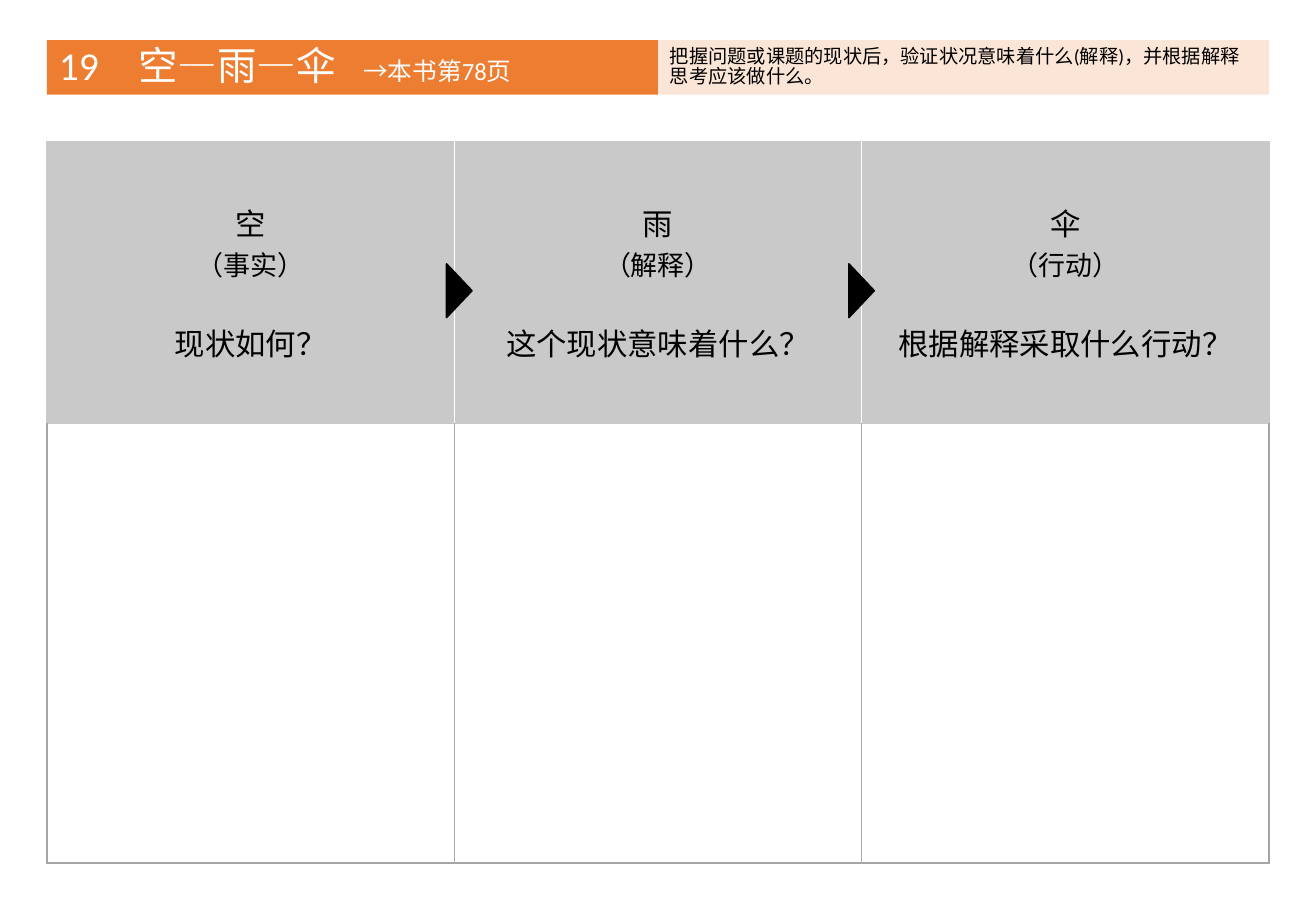
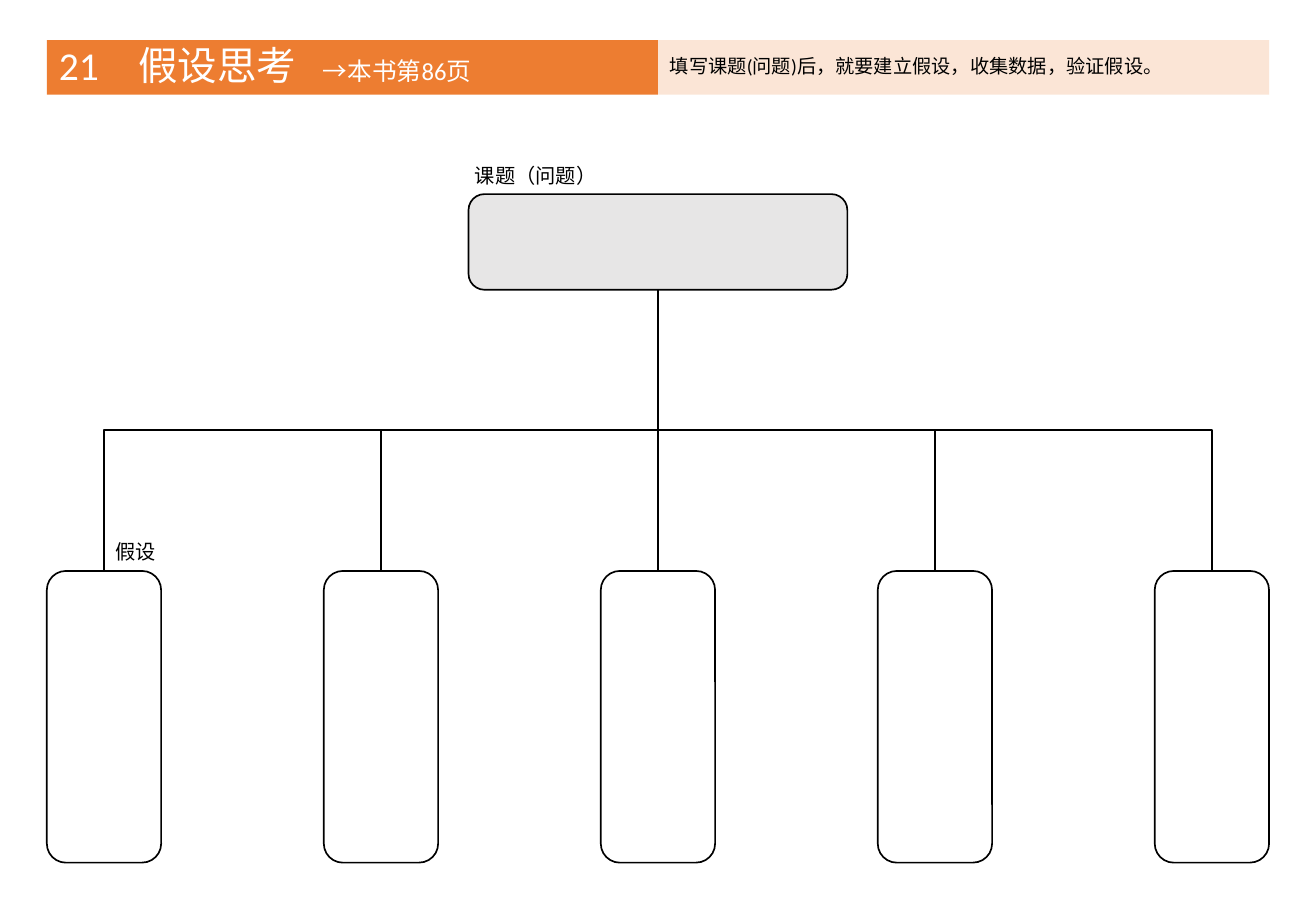
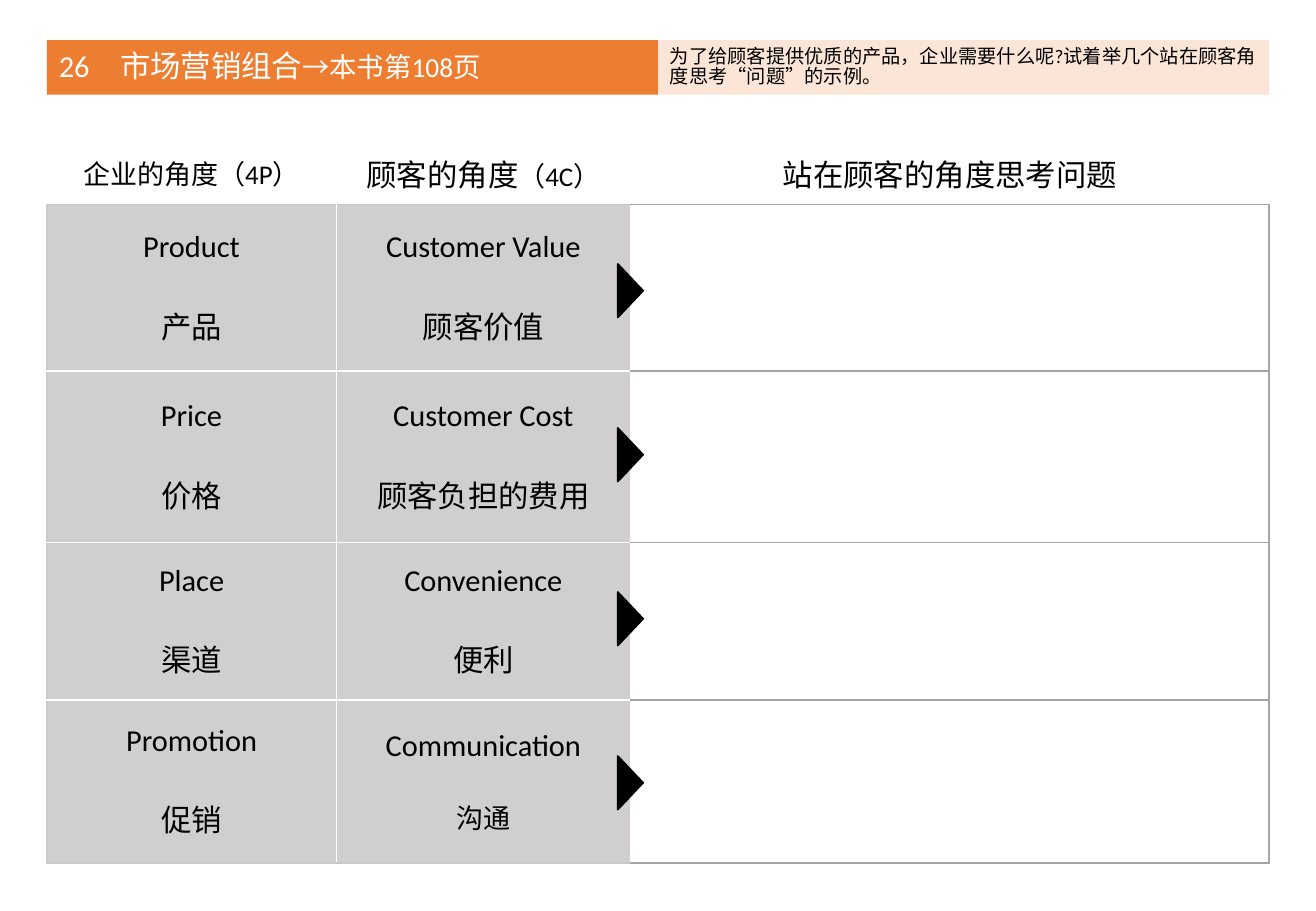
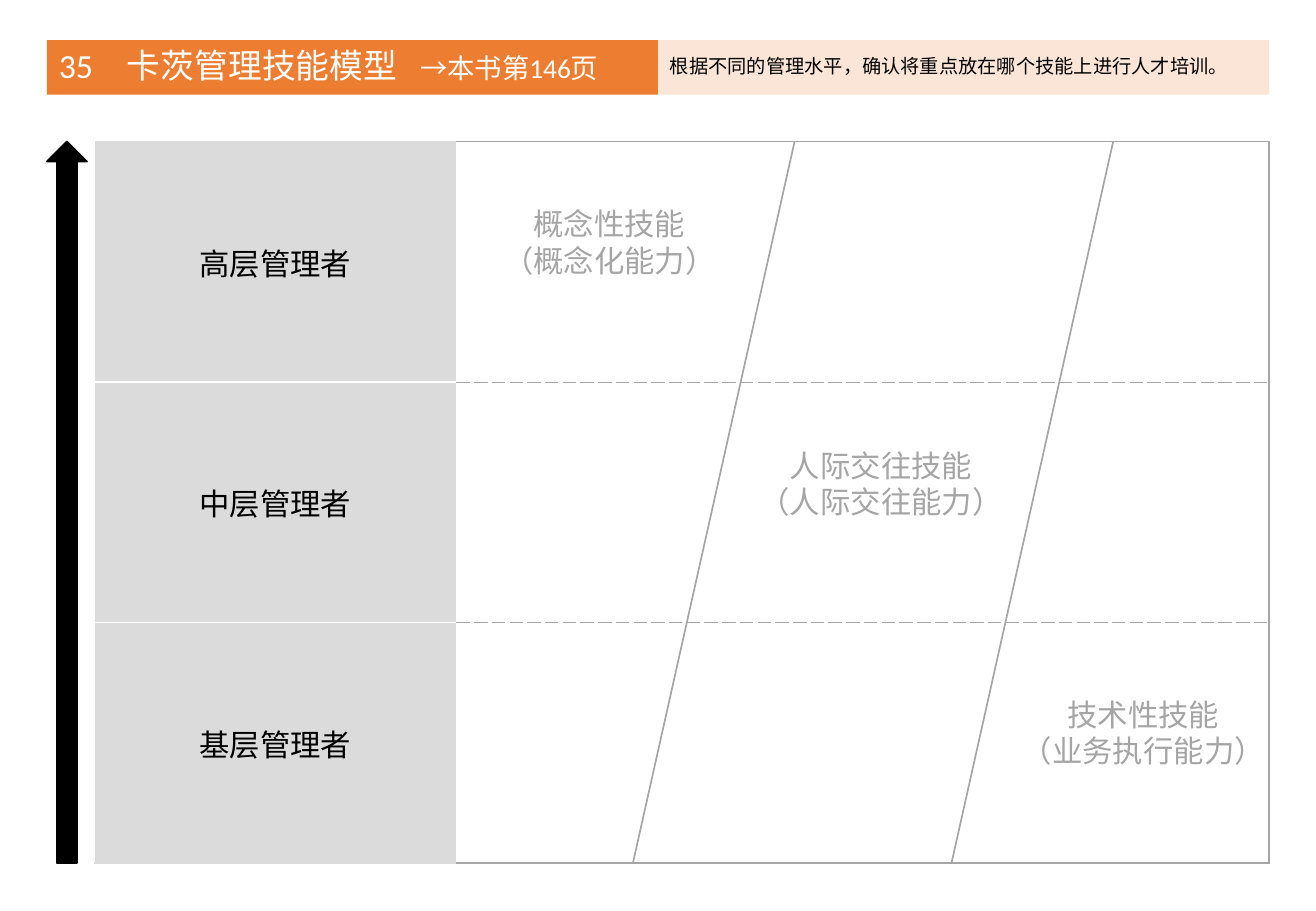
"""Build four business-framework worksheets that share one header band."""
import dataclasses
import typing

import lxml.etree
import pptx
import pptx.dml.color
import pptx.enum.lang
import pptx.enum.shapes
import pptx.enum.text
import pptx.oxml.ns
import pptx.util

Cm = pptx.util.Cm
Pt = pptx.util.Pt
PRESET = pptx.enum.shapes.MSO_SHAPE
LINK = pptx.enum.shapes.MSO_CONNECTOR
ALIGN = pptx.enum.text.PP_ALIGN
MIDDLE = pptx.enum.text.MSO_ANCHOR.MIDDLE
qn = pptx.oxml.ns.qn


@dataclasses.dataclass(frozen=True)
class Theme:
    font: str = "Calibri"
    orange: str = "ED7D31"
    peach: str = "FBE5D6"
    black: str = "000000"
    white: str = "FFFFFF"
    header_gray: str = "C9C9C9"
    label_gray: str = "D0CECE"
    level_gray: str = "DBDBDB"
    issue_gray: str = "E7E6E6"
    rule_gray: str = "A5A5A5"
    divider_gray: str = "AFABAB"
    body: float = 18
    small: float = 16
    caption: float = 12
    hint: float = 11.4
    gap: float = 22
    small_gap: float = 19.5
    line: float = 1
    hairline: float = 0.25


THEME = Theme()


class Box(typing.NamedTuple):
    left: float
    top: float
    width: float
    height: float


class Run(typing.NamedTuple):
    text: str
    size: float = THEME.body


class Line(typing.NamedTuple):
    runs: tuple[Run, ...]
    gap: float = 0


class Edge(typing.NamedTuple):
    color: str
    width: float = THEME.line
    dash: str = "solid"


class Edges(typing.NamedTuple):
    left: Edge | None = None
    right: Edge | None = None
    top: Edge | None = None
    bottom: Edge | None = None


class Cell(typing.NamedTuple):
    lines: tuple[Line, ...]
    fill: str
    edges: Edges


class Header(typing.NamedTuple):
    title: Run
    page: Run
    hint: str
    page_tab: float = 0


class Skill(typing.NamedTuple):
    name: str
    ability: str
    box: Box


SLIDE_W, SLIDE_H = 27.51, 19.05
MARGIN = 0.98
CONTENT_W = SLIDE_W - 2 * MARGIN
BODY = Box(MARGIN, 2.96, CONTENT_W, 15.09)
BODY_BOTTOM = BODY.top + BODY.height
MARKER_W, MARKER_H, MARKER_Y = 1.12, 0.53, 6.08

WHITE_EDGE = Edge(THEME.white)
HEADER_EDGE = Edge(THEME.header_gray)
RULE_EDGE = Edge(THEME.rule_gray)
DIVIDER_EDGE = Edge(THEME.divider_gray)
LEVEL_EDGE = Edge(THEME.level_gray)
DASHED_EDGE = Edge(THEME.rule_gray, THEME.hairline, "sysDash")


def rgb(color: str) -> pptx.dml.color.RGBColor:
    return pptx.dml.color.RGBColor.from_string(color)


def place(box: Box) -> tuple:
    return tuple(Cm(length) for length in box)


def line_of(text: str, size: float = THEME.body, gap: float = 0) -> Line:
    return Line((Run(text, size),), gap)


def write(frame, lines: typing.Sequence[Line], color: str, align=ALIGN.LEFT, spacing: float = 1) -> None:
    for index, line in enumerate(lines):
        paragraph = frame.add_paragraph() if index else frame.paragraphs[0]
        paragraph.alignment = align
        paragraph.line_spacing = spacing
        if line.gap:
            paragraph.space_before = Pt(line.gap)
        for text, size in line.runs:
            run = paragraph.add_run()
            run.text = text
            run.font.name = THEME.font
            run.font.size = Pt(size)
            run.font.color.rgb = rgb(color)
            run.font.language_id = pptx.enum.lang.MSO_LANGUAGE_ID.SIMPLIFIED_CHINESE


def add_block(slide, preset, box: Box, fill: str, outline: str | None = THEME.black):
    block = slide.shapes.add_shape(preset, *place(box))
    block.shadow.inherit = False
    block.fill.solid()
    block.fill.fore_color.rgb = rgb(fill)
    if outline:
        block.line.color.rgb = rgb(outline)
        block.line.width = Pt(THEME.line)
    else:
        block.line.fill.background()
    return block


def add_band(slide, box: Box, fill: str, color: str, line: Line, tab: float = 0) -> None:
    frame = add_block(slide, PRESET.RECTANGLE, box, fill, None).text_frame
    frame.word_wrap = True
    frame.vertical_anchor = MIDDLE
    if tab:
        properties = frame.paragraphs[0]._p.get_or_add_pPr()
        stops = lxml.etree.SubElement(properties, qn("a:tabLst"))
        lxml.etree.SubElement(stops, qn("a:tab"), pos=str(int(Cm(tab))), algn="l")
    write(frame, [line], color, spacing=0.9)


def add_header(slide, header: Header) -> None:
    band = Box(MARGIN, 0.84, CONTENT_W / 2, 1.14)
    page = header.page
    if header.page_tab:
        page = page._replace(text="\t" + page.text)
    add_band(slide, band, THEME.orange, THEME.white, Line((header.title, page)), header.page_tab)
    add_band(slide, band._replace(left=SLIDE_W / 2), THEME.peach, THEME.black,
             line_of(header.hint, THEME.hint))


def add_label(slide, box: Box, lines: typing.Sequence[Line], color: str, align=ALIGN.LEFT) -> None:
    frame = slide.shapes.add_textbox(*place(box)).text_frame
    frame.word_wrap = False
    frame.auto_size = pptx.enum.text.MSO_AUTO_SIZE.SHAPE_TO_FIT_TEXT
    write(frame, lines, color, align)


def add_marker(slide, center_x: float, center_y: float) -> None:
    box = Box(center_x - MARKER_W / 2, center_y - MARKER_H / 2, MARKER_W, MARKER_H)
    add_block(slide, PRESET.ISOSCELES_TRIANGLE, box, THEME.black).rotation = 90


def add_link(slide, kind, color: str, start: tuple[float, float] = (0, 0), end: tuple[float, float] = (0, 0)):
    link = slide.shapes.add_connector(kind, *(Cm(length) for length in (*start, *end)))
    link.line.color.rgb = rgb(color)
    link.line.width = Pt(THEME.line)
    lxml.etree.SubElement(link._element.spPr, qn("a:effectLst"))
    return link


def add_branch(slide, parent, child) -> None:
    start_x, end_x = (block.left + block.width // 2 for block in (parent, child))
    start_y, end_y = parent.top + parent.height, child.top
    run, drop = end_x - start_x, end_y - start_y
    straight = abs(run) < Cm(0.01)
    link = add_link(slide, LINK.STRAIGHT if straight else LINK.ELBOW, THEME.black)
    link.begin_connect(parent, 2)
    link.end_connect(child, 0)
    if straight:
        return
    link.width, link.height = drop, abs(run)
    link.left = (start_x + end_x - drop) // 2
    link.top = (start_y + end_y - abs(run)) // 2
    frame = link._element.spPr.find(qn("a:xfrm"))
    frame.set("rot", str((270 if run > 0 else 90) * 60000))
    frame.set("flipH", "1" if run > 0 else "0")
    frame.set("flipV", "0")


def draw_edges(cell, edges: Edges) -> None:
    properties = cell._tc.get_or_add_tcPr()
    for tag, edge in zip(("a:lnL", "a:lnR", "a:lnT", "a:lnB"), edges):
        stroke = lxml.etree.SubElement(properties, qn(tag))
        if edge is None:
            lxml.etree.SubElement(stroke, qn("a:noFill"))
            continue
        stroke.set("w", str(int(Pt(edge.width))))
        paint = lxml.etree.SubElement(stroke, qn("a:solidFill"))
        lxml.etree.SubElement(paint, qn("a:srgbClr"), val=edge.color)
        lxml.etree.SubElement(stroke, qn("a:prstDash"), val=edge.dash)


def add_grid(slide, box: Box, widths: typing.Sequence[float], heights: typing.Sequence[float],
             rows: typing.Sequence[typing.Sequence[Cell]]) -> None:
    table = slide.shapes.add_table(len(heights), len(widths), *place(box)).table
    table.first_row = False
    table.horz_banding = False
    for column, width in zip(table.columns, widths):
        column.width = Cm(width)
    for row, height in zip(table.rows, heights):
        row.height = Cm(height)
    for row, contents in zip(table.rows, rows):
        for cell, content in zip(row.cells, contents):
            draw_edges(cell, content.edges)
            cell.fill.solid()
            cell.fill.fore_color.rgb = rgb(content.fill)
            cell.vertical_anchor = MIDDLE
            write(cell.text_frame, content.lines, THEME.black, ALIGN.CENTER)


def build_sky_rain_umbrella(slide) -> None:
    stages = (("空", "（事实）", "现状如何？"),
              ("雨", "（解释）", "这个现状意味着什么？"),
              ("伞", "（行动）", "根据解释采取什么行动？"))
    last = len(stages) - 1
    headings, blanks = [], []
    for index, (symbol, meaning, question) in enumerate(stages):
        lines = (line_of(symbol), line_of(meaning, THEME.small), line_of(question, gap=THEME.gap))
        headings.append(Cell(lines, THEME.header_gray, Edges(
            WHITE_EDGE if index else HEADER_EDGE,
            WHITE_EDGE if index < last else HEADER_EDGE, HEADER_EDGE, HEADER_EDGE)))
        blanks.append(Cell((), THEME.white, Edges(
            DIVIDER_EDGE if index else RULE_EDGE,
            DIVIDER_EDGE if index < last else RULE_EDGE, HEADER_EDGE, RULE_EDGE)))
    add_grid(slide, BODY, [CONTENT_W / len(stages)] * len(stages), (5.9, 9.19), (headings, blanks))
    for center_x in (9.6, 18.01):
        add_marker(slide, center_x, MARKER_Y)


def build_hypothesis_tree(slide) -> None:
    issue_w, hypothesis_w, count = 7.92, 2.39, 5
    issue = add_block(slide, PRESET.ROUNDED_RECTANGLE,
                      Box((SLIDE_W - issue_w) / 2, 4.06, issue_w, 2), THEME.issue_gray)
    pitch = (CONTENT_W - hypothesis_w) / (count - 1)
    hypotheses = [add_block(slide, PRESET.ROUNDED_RECTANGLE,
                            Box(MARGIN + index * pitch, 11.94, hypothesis_w, 6.1), THEME.white)
                  for index in range(count)]
    for hypothesis in hypotheses:
        add_branch(slide, issue, hypothesis)
    for text, box in (("课题（问题）", Box(9.68, 3.28, 3.07, 0.77)),
                      ("假设", Box(2.16, 11.15, 1.37, 0.77))):
        add_label(slide, box, [line_of(text, THEME.caption)], THEME.black)


def build_marketing_mix(slide) -> None:
    widths, heights = (6.05, 6.15, 13.35), (1.32, 3.48, 3.58, 3.3, 3.41)
    factors = (("Product", "产品", "Customer Value", "顾客价值"),
               ("Price", "价格", "Customer Cost", "顾客负担的费用"),
               ("Place", "渠道", "Convenience", "便利"),
               ("Promotion", "促销", "Communication", "沟通"))
    headings = (
        Cell((line_of("企业的角度（4P）", THEME.small),), THEME.white,
             Edges(WHITE_EDGE, None, WHITE_EDGE, HEADER_EDGE)),
        Cell((Line((Run("顾客的角度"), Run("（4C）", THEME.small))),), THEME.white,
             Edges(None, None, WHITE_EDGE, HEADER_EDGE)),
        Cell((line_of("站在顾客的角度思考问题"),), THEME.white,
             Edges(None, WHITE_EDGE, WHITE_EDGE, RULE_EDGE)))
    rows = [headings]
    last = len(factors) - 1
    for index, (company, company_zh, customer, customer_zh) in enumerate(factors):
        top = WHITE_EDGE if index else HEADER_EDGE
        bottom = WHITE_EDGE if index < last else HEADER_EDGE
        small = customer_zh == "沟通"
        translation = line_of(customer_zh, THEME.small if small else THEME.body,
                              THEME.small_gap if small else THEME.gap)
        rows.append((
            Cell((line_of(company), line_of(company_zh, gap=THEME.gap)), THEME.label_gray,
                 Edges(HEADER_EDGE, WHITE_EDGE, top, bottom)),
            Cell((line_of(customer), translation), THEME.label_gray,
                 Edges(WHITE_EDGE, None, top, bottom)),
            Cell((), THEME.white, Edges(None, RULE_EDGE, RULE_EDGE, RULE_EDGE))))
    add_grid(slide, BODY, widths, heights, rows)
    for index in range(len(factors)):
        add_marker(slide, MARGIN + widths[0] + widths[1], MARKER_Y + index * 3.43)


def build_management_skills(slide) -> None:
    add_block(slide, PRESET.UP_ARROW, BODY._replace(width=0.84), THEME.black)
    levels = ("高层管理者", "中层管理者", "基层管理者")
    last = len(levels) - 1
    rows = []
    for index, level in enumerate(levels):
        rows.append((
            Cell((line_of(level),), THEME.level_gray,
                 Edges(WHITE_EDGE, None, WHITE_EDGE if index else LEVEL_EDGE,
                       WHITE_EDGE if index < last else LEVEL_EDGE)),
            Cell((), THEME.white,
                 Edges(None, RULE_EDGE, DASHED_EDGE if index else RULE_EDGE,
                       DASHED_EDGE if index < last else RULE_EDGE))))
    add_grid(slide, Box(1.97, BODY.top, 24.56, BODY.height), (7.57, 16.99),
             [BODY.height / len(levels)] * len(levels), rows)
    for foot_x in (13.23, 19.89):
        add_link(slide, LINK.STRAIGHT, THEME.rule_gray,
                 (foot_x, BODY_BOTTOM), (foot_x + 3.38, BODY.top))
    for skill in (Skill("概念性技能", "（概念化能力）", Box(10.24, 4.17, 5, 1.8)),
                  Skill("人际交往技能", "（人际交往能力）", Box(15.6, 9.22, 5.64, 1.8)),
                  Skill("技术性技能", "（业务执行能力）", Box(21.08, 14.43, 5.64, 1.8))):
        add_label(slide, skill.box, [line_of(skill.name), line_of(skill.ability)],
                  THEME.rule_gray, ALIGN.CENTER)


WORKSHEETS = (
    (Header(Run("19　空—雨—伞", 23.4), Run("→本书第78页", 14.6),
            "把握问题或课题的现状后，验证状况意味着什么(解释)，并根据解释思考应该做什么。", 6.36),
     build_sky_rain_umbrella),
    (Header(Run("21　假设思考", 23.4), Run("→本书第86页", 14.6),
            "填写课题(问题)后，就要建立假设，收集数据，验证假设。", 5.52),
     build_hypothesis_tree),
    (Header(Run("26　市场营销组合", 18), Run("→本书第108页", 16.2),
            "为了给顾客提供优质的产品，企业需要什么呢?试着举几个站在顾客角度思考“问题”的示例。"),
     build_marketing_mix),
    (Header(Run("35　卡茨管理技能模型", 20), Run("→本书第146页", 16.2),
            "根据不同的管理水平，确认将重点放在哪个技能上进行人才培训。", 7.55),
     build_management_skills),
)


def main() -> None:
    deck = pptx.Presentation()
    deck.slide_width, deck.slide_height = Cm(SLIDE_W), Cm(SLIDE_H)
    for header, build in WORKSHEETS:
        slide = deck.slides.add_slide(deck.slide_layouts[6])
        add_header(slide, header)
        build(slide)
    deck.save("out.pptx")


if __name__ == "__main__":
    main()
